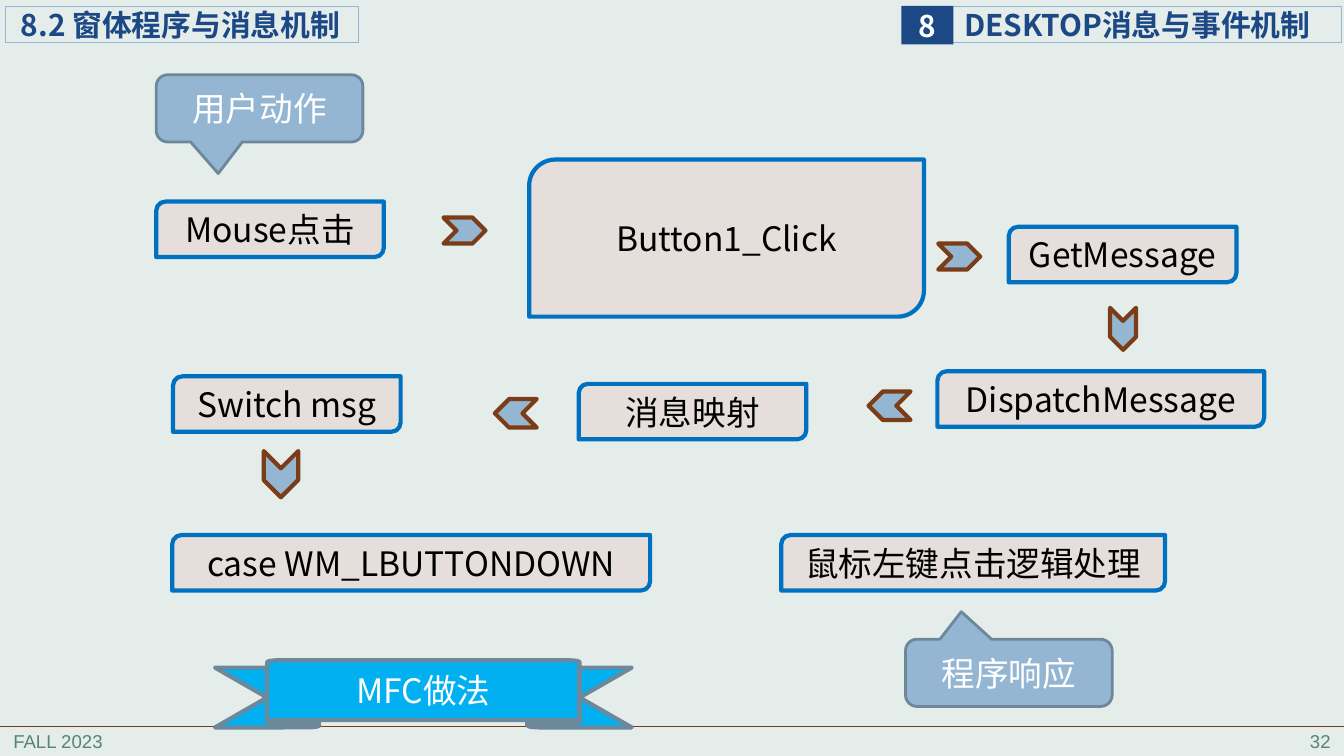
"""Build the slide that follows a mouse click through the message mechanism."""

from dataclasses import dataclass

from lxml import etree
from pptx import Presentation
from pptx.dml.color import RGBColor
from pptx.enum.shapes import MSO_CONNECTOR, MSO_SHAPE
from pptx.enum.text import MSO_ANCHOR, PP_ALIGN
from pptx.oxml.ns import qn
from pptx.slide import Slide
from pptx.util import Emu, Inches, Pt

COLUMNS, ROWS = 160, 90
CELL = Inches(1) // 12

RECTANGLE = MSO_SHAPE.RECTANGLE
NODE = MSO_SHAPE.ROUND_2_DIAG_RECTANGLE
CALLOUT = MSO_SHAPE.ROUNDED_RECTANGULAR_CALLOUT
CHEVRON = MSO_SHAPE.CHEVRON
RIBBON = MSO_SHAPE.UP_RIBBON
STRAIGHT = MSO_CONNECTOR.STRAIGHT
MIDDLE = MSO_ANCHOR.MIDDLE
LEFT, CENTER, RIGHT = PP_ALIGN.LEFT, PP_ALIGN.CENTER, PP_ALIGN.RIGHT


@dataclass(frozen=True)
class Theme:
    """Colours, fonts and sizes of the slide."""

    page: str = "E5EDEB"
    navy: str = "1C4885"
    sky: str = "94B6D2"
    slate: str = "6D879B"
    brown: str = "7B3D17"
    blue: str = "0070C0"
    cyan: str = "00B0F0"
    sand: str = "E6DEDB"
    footer: str = "578279"
    black: str = "000000"
    white: str = "FFFFFF"
    body_font: str = "Noto Sans CJK SC"
    footer_font: str = "Arial"
    body_size: float = 24
    heading_size: float = 21.3
    footer_size: float = 13.3


THEME = Theme()


@dataclass(frozen=True)
class Look:
    """Fill, outline and lettering shared by a family of blocks."""

    preset: MSO_SHAPE
    fill: str | None
    line: str | None
    weight: float
    ink: str = THEME.white
    size: float = THEME.body_size
    bold: bool = False


@dataclass(frozen=True)
class Block:
    """One shape placed in columns and rows of the grid."""

    look: Look
    left: float
    top: float
    width: float
    height: float
    text: str = ""
    adjustments: tuple[float, ...] = ()
    rotation: float = 0
    align: PP_ALIGN = CENTER
    inset: float = 1.2


HEADING = Look(RECTANGLE, None, THEME.sky, 0.75, THEME.navy, THEME.heading_size, True)
NUMBER = Look(RECTANGLE, THEME.navy, None, 0, THEME.white, THEME.heading_size, True)
STEP = Look(NODE, THEME.sand, THEME.blue, 3, THEME.black)
BUBBLE = Look(CALLOUT, THEME.sky, THEME.slate, 2)
ARROW = Look(CHEVRON, THEME.sky, THEME.brown, 3)
BANNER = Look(RIBBON, THEME.cyan, THEME.slate, 3)

STEP_WIDTH, STEP_HEIGHT = 27.1, 6.6
BUBBLE_SIZE = (24.6, 8)
FOOTER_TOP, FOOTER_WIDTH, FOOTER_HEIGHT = 86.4, 33.4, 3.6

BLOCKS = (
    Block(HEADING, 113.4, 0.8, 46.3, 4.3, "DESKTOP消息与事件机制", align=LEFT, inset=1.4),
    Block(NUMBER, 107.3, 0.7, 6.2, 4.6, "8", inset=0),
    Block(HEADING, 0.6, 0.8, 42.1, 4.3, "8.2 窗体程序与消息机制", align=LEFT, inset=1.9),
    Block(STEP, 18.6, 24, STEP_WIDTH, STEP_HEIGHT, "Mouse点击"),
    Block(STEP, 63, 19, 47, 18.7, "Button1_Click"),
    Block(STEP, 120.1, 27, STEP_WIDTH, STEP_HEIGHT, "GetMessage"),
    Block(STEP, 20.6, 44.8, STEP_WIDTH, STEP_HEIGHT, "Switch msg"),
    Block(STEP, 68.9, 45.7, STEP_WIDTH, STEP_HEIGHT, "消息映射"),
    Block(STEP, 111.6, 44.2, 38.9, STEP_HEIGHT, "DispatchMessage"),
    Block(STEP, 20.5, 63.7, 56.9, STEP_HEIGHT, "case WM_LBUTTONDOWN"),
    Block(STEP, 93, 63.7, 45.7, STEP_HEIGHT, "鼠标左键点击逻辑处理"),
    Block(BUBBLE, 18.6, 8.9, *BUBBLE_SIZE, "用户动作", (-0.2, 0.97, 0.17)),
    Block(BUBBLE, 107.8, 76.1, *BUBBLE_SIZE, "程序响应", (-0.23, -0.91, 0.17)),
    Block(ARROW, 52.8, 25.9, 5, 3.1),
    Block(ARROW, 111.7, 29, 5, 3.1),
    Block(ARROW, 131.2, 37.6, 5, 3.1, rotation=90),
    Block(ARROW, 103.4, 46.6, 5, 3.4, rotation=180),
    Block(ARROW, 58.9, 47.5, 5, 3.4, rotation=180),
    Block(ARROW, 30.7, 54.4, 5.5, 4.1, rotation=90),
    Block(BANNER, 25.6, 78.6, 49.6, 8, "MFC做法", (0.11, 0.75)),
)


def cells(*counts: float) -> list[Emu]:
    """Turn grid counts into lengths."""
    return [Emu(round(count * CELL)) for count in counts]


def write(shape, text: str, font: str, size: float, ink: str, align: PP_ALIGN, bold: bool = False) -> None:
    """Set one line of text and format its run."""
    frame = shape.text_frame
    frame.text = text
    frame.word_wrap = True
    frame.vertical_anchor = MIDDLE
    para = frame.paragraphs[0]
    para.alignment = align
    for span in para.runs:
        span.font.name = font
        span.font.size = Pt(size)
        span.font.bold = bold
        span.font.color.rgb = RGBColor.from_string(ink)
        latin = span.font._element.find(qn("a:latin"))
        east_asian = etree.Element(qn("a:ea"), typeface=font)
        latin.addnext(east_asian)


def draw_block(page: Slide, block: Block) -> None:
    """Draw one block with its look and text."""
    look = block.look
    shape = page.shapes.add_shape(
        look.preset, *cells(block.left, block.top, block.width, block.height)
    )
    shape.shadow.inherit = False
    shape.rotation = block.rotation
    for index, value in enumerate(block.adjustments):
        shape.adjustments[index] = value
    if look.fill:
        shape.fill.solid()
        shape.fill.fore_color.rgb = RGBColor.from_string(look.fill)
    else:
        shape.fill.background()
    if look.line:
        shape.line.color.rgb = RGBColor.from_string(look.line)
        shape.line.width = Pt(look.weight)
    else:
        shape.line.fill.background()
    if block.text:
        frame = shape.text_frame
        frame.margin_left = cells(block.inset)[0]
        frame.margin_right = cells(block.inset if block.align == CENTER else 0)[0]
        frame.margin_top = frame.margin_bottom = 0
        write(shape, block.text, THEME.body_font, look.size, look.ink, block.align, look.bold)


def draw_footer(page: Slide) -> None:
    """Draw the footer texts and the rule above them."""
    right_start = COLUMNS - FOOTER_WIDTH - 0.4
    for left, text, align in ((0.4, "FALL 2023", LEFT), (right_start, "32", RIGHT)):
        box = page.shapes.add_textbox(*cells(left, FOOTER_TOP, FOOTER_WIDTH, FOOTER_HEIGHT))
        write(box, text, THEME.footer_font, THEME.footer_size, THEME.footer, align)
    rule = page.shapes.add_connector(STRAIGHT, *cells(0, 86.5, COLUMNS, 86.5))
    rule.line.color.rgb = RGBColor.from_string(THEME.brown)
    rule.line.width = Pt(0.5)
    etree.SubElement(rule._element.spPr, qn("a:effectLst"))


def main() -> None:
    """Create and save the deck."""
    deck = Presentation()
    deck.slide_width, deck.slide_height = cells(COLUMNS, ROWS)
    page = deck.slides.add_slide(deck.slide_layouts[6])
    page.background.fill.solid()
    page.background.fill.fore_color.rgb = RGBColor.from_string(THEME.page)
    draw_footer(page)
    for block in BLOCKS:
        draw_block(page, block)
    deck.save("out.pptx")


if __name__ == "__main__":
    main()
